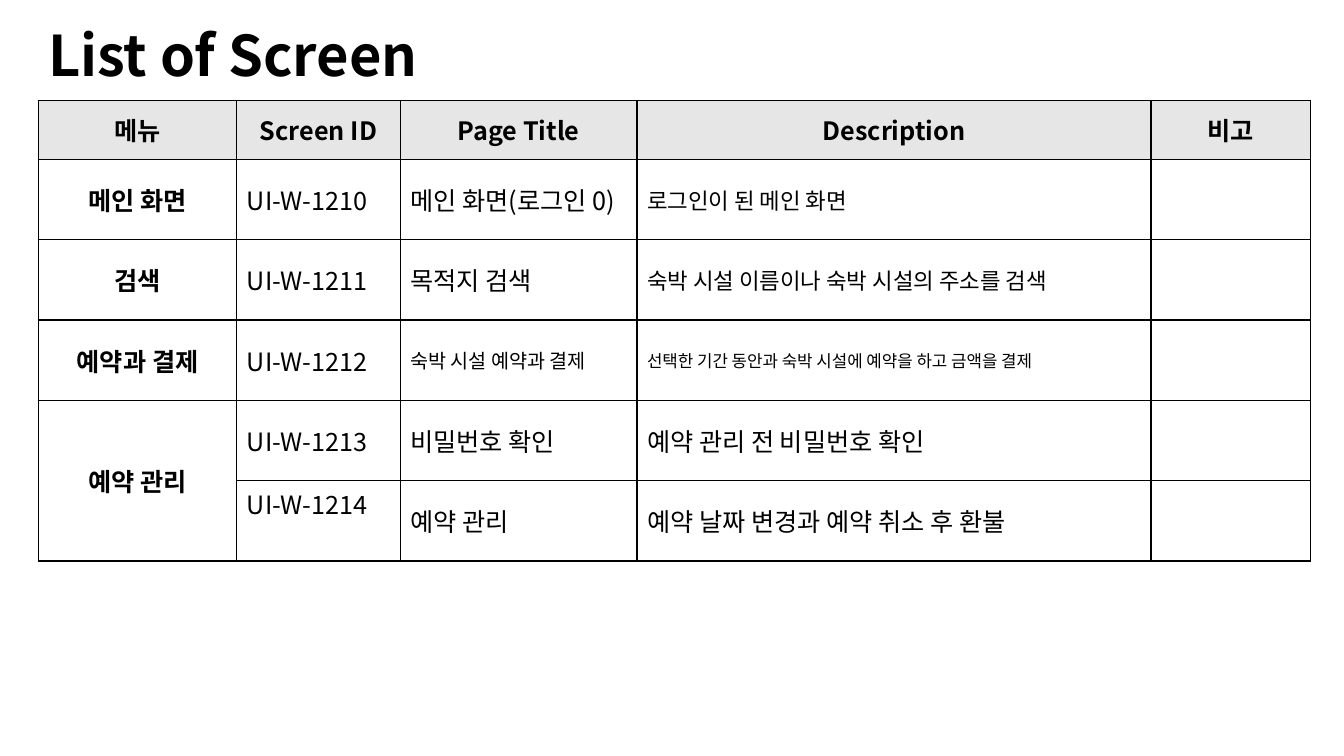
import pptx
import pptx.util
import pptx.dml.color
import pptx.enum.text
import pptx.oxml.ns
import lxml.etree

Pt = pptx.util.Pt
qn = pptx.oxml.ns.qn
Align = pptx.enum.text.PP_ALIGN
Anchor = pptx.enum.text.MSO_ANCHOR

BLACK = pptx.dml.color.RGBColor(0x00, 0x00, 0x00)
WHITE = pptx.dml.color.RGBColor(0xFF, 0xFF, 0xFF)
HEADER_GRAY = pptx.dml.color.RGBColor(0xE7, 0xE6, 0xE6)

HEADINGS = ["메뉴", "Screen ID", "Page Title", "Description", "비고"]
SCREENS = [
    ["메인 화면", "UI-W-1210", "메인 화면(로그인 0)", "로그인이 된 메인 화면", ""],
    ["검색", "UI-W-1211", "목적지 검색", "숙박 시설 이름이나 숙박 시설의 주소를 검색", ""],
    ["예약과 결제", "UI-W-1212", "숙박 시설 예약과 결제",
     "선택한 기간 동안과 숙박 시설에 예약을 하고 금액을 결제", ""],
    ["예약 관리", "UI-W-1213", "비밀번호 확인", "예약 관리 전 비밀번호 확인", ""],
    ["", "UI-W-1214", "예약 관리", "예약 날짜 변경과 예약 취소 후 환불", ""],
]
SMALLER_TEXT = {(1, 3): 16, (2, 3): 16, (3, 2): 14, (3, 3): 12}
COLUMN_WIDTHS = [141.84, 116.64, 169.2, 367.2, 113.76]
ROW_HEIGHTS = [42] + [57.4] * len(SCREENS)


class SlideBuilder:
    font_name = "Noto Sans CJK KR"
    body_size = 18
    border_width = 1

    def __init__(self, slide):
        self.slide = slide

    def styled_text(self, frame, text, size, bold, align=Align.LEFT):
        paragraph = frame.paragraphs[0]
        paragraph.text = text
        paragraph.alignment = align
        for run in paragraph.runs:
            run.font.size = Pt(size)
            run.font.bold = bold
            run.font.color.rgb = BLACK
            run.font.name = self.font_name
            east_asian = lxml.etree.SubElement(run.font._element, qn("a:ea"))
            east_asian.set("typeface", self.font_name)

    def title(self, text, left, top, width, height):
        heading = self.slide.shapes.add_textbox(Pt(left), Pt(top), Pt(width), Pt(height))
        heading.text_frame.word_wrap = True
        heading.text_frame.auto_size = pptx.enum.text.MSO_AUTO_SIZE.SHAPE_TO_FIT_TEXT
        self.styled_text(heading.text_frame, text, 40, True)

    def border(self, cell):
        properties = cell._tc.get_or_add_tcPr()
        for side in ("a:lnL", "a:lnR", "a:lnT", "a:lnB"):
            line = lxml.etree.SubElement(properties, qn(side))
            line.set("w", str(Pt(self.border_width)))
            fill = lxml.etree.SubElement(line, qn("a:solidFill"))
            lxml.etree.SubElement(fill, qn("a:srgbClr")).set("val", str(BLACK))

    def cell(self, cell, text, size, emphasized, background):
        self.border(cell)
        cell.fill.solid()
        cell.fill.fore_color.rgb = background
        cell.vertical_anchor = Anchor.MIDDLE
        align = Align.CENTER if emphasized else Align.LEFT
        self.styled_text(cell.text_frame, text, size, emphasized, align)

    def table(self, rows, left, top, widths, heights, sizes):
        grid = self.slide.shapes.add_table(
            len(rows), len(widths), Pt(left), Pt(top), Pt(sum(widths)), Pt(sum(heights))
        ).table
        for column, width in zip(grid.columns, widths):
            column.width = Pt(width)
        for row, height in zip(grid.rows, heights):
            row.height = Pt(height)
        for r, texts in enumerate(rows):
            for c, text in enumerate(texts):
                background = HEADER_GRAY if r == 0 else WHITE
                size = sizes.get((r, c), self.body_size)
                self.cell(grid.cell(r, c), text, size, r == 0 or c == 0, background)
        return grid


def main():
    deck = pptx.Presentation()
    deck.slide_width, deck.slide_height = Pt(960), Pt(540)
    builder = SlideBuilder(deck.slides.add_slide(deck.slide_layouts[6]))
    builder.title("List of Screen", 27.36, 10.8, 319.68, 55.44)
    screen_list = builder.table(
        [HEADINGS] + SCREENS, 27.36, 71.8, COLUMN_WIDTHS, ROW_HEIGHTS, SMALLER_TEXT
    )
    screen_list.cell(4, 0).merge(screen_list.cell(5, 0))
    screen_list.cell(5, 1).vertical_anchor = Anchor.TOP
    deck.save("out.pptx")


if __name__ == "__main__":
    main()
